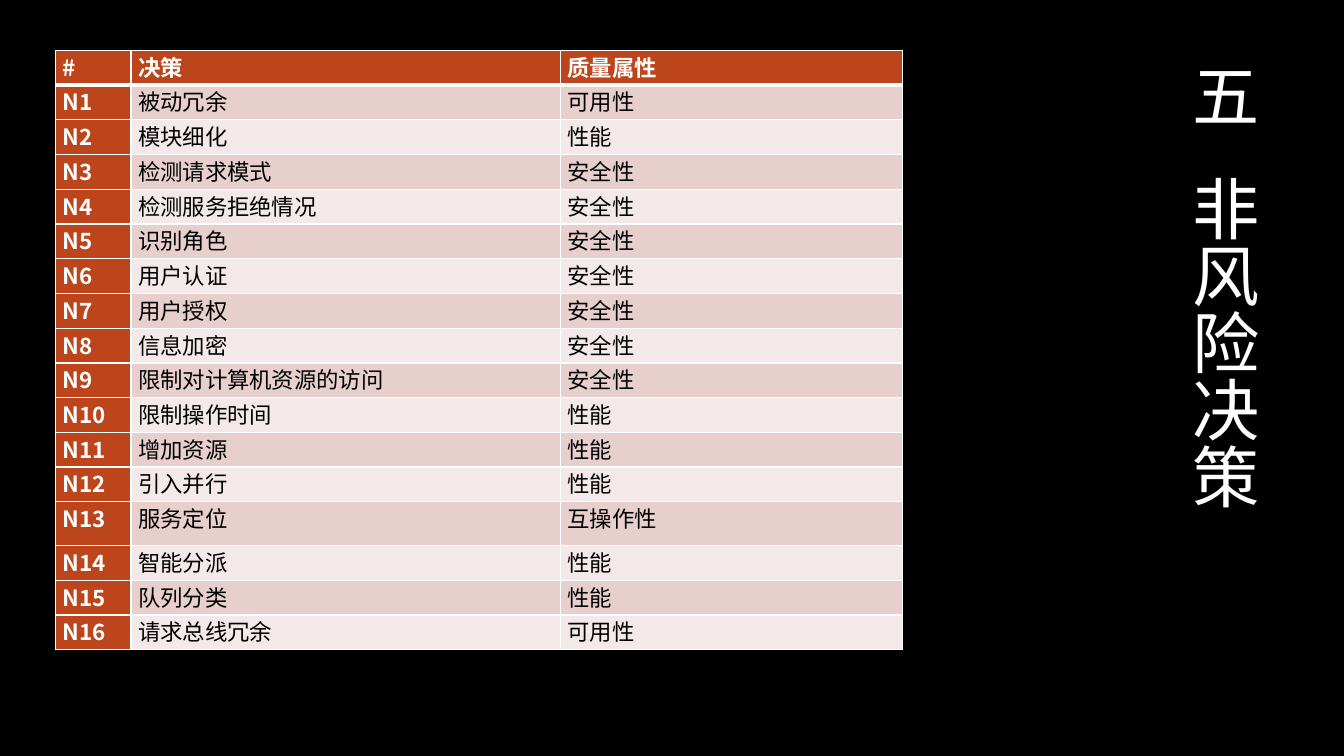
from dataclasses import dataclass

import lxml.etree
import pptx
import pptx.dml.color
import pptx.enum.text
import pptx.oxml.ns
import pptx.util

Cm = pptx.util.Cm
Pt = pptx.util.Pt
RGBColor = pptx.dml.color.RGBColor
qn = pptx.oxml.ns.qn

BLACK = RGBColor(0x00, 0x00, 0x00)
WHITE = RGBColor(0xFF, 0xFF, 0xFF)
RUST = RGBColor(0xBC, 0x45, 0x1B)
ROSE = RGBColor(0xE7, 0xCF, 0xCD)
BLUSH = RGBColor(0xF3, 0xE9, 0xE8)
FONT = "Noto Sans CJK SC"

COLUMN_WIDTHS = (Cm(1.9), Cm(10.82), Cm(8.62))
TABLE_HEIGHT = Cm(15.11)
TALL_ROW = 13
TALL_ROW_HEIGHT = Cm(1.1)


@dataclass(frozen=True)
class Decision:
    measure: str
    quality: str


DECISIONS = (
    Decision("被动冗余", "可用性"),
    Decision("模块细化", "性能"),
    Decision("检测请求模式", "安全性"),
    Decision("检测服务拒绝情况", "安全性"),
    Decision("识别角色", "安全性"),
    Decision("用户认证", "安全性"),
    Decision("用户授权", "安全性"),
    Decision("信息加密", "安全性"),
    Decision("限制对计算机资源的访问", "安全性"),
    Decision("限制操作时间", "性能"),
    Decision("增加资源", "性能"),
    Decision("引入并行", "性能"),
    Decision("服务定位", "互操作性"),
    Decision("智能分派", "性能"),
    Decision("队列分类", "性能"),
    Decision("请求总线冗余", "可用性"),
)


def apply_format(target: object, values: dict) -> None:
    for attribute, value in values.items():
        setattr(target, attribute, value)


def add_words(paragraph, words: str, size: int, color: RGBColor, bold: bool):
    run = paragraph.add_run()
    run.text = words
    apply_format(run.font, {"name": FONT, "size": Pt(size), "bold": bold})
    run.font.color.rgb = color
    properties = run.font._element
    lxml.etree.SubElement(properties, qn("a:ea")).set("typeface", FONT)
    return properties


def border_cell(cell, row: int) -> None:
    properties = cell._tc.get_or_add_tcPr()
    widths = {"lnL": 1, "lnR": 1, "lnT": 3 if row == 1 else 1, "lnB": 3 if row == 0 else 1}
    for position, (edge, width) in enumerate(widths.items()):
        line = lxml.etree.Element(qn(f"a:{edge}"), w=str(Pt(width)))
        fill = lxml.etree.SubElement(line, qn("a:solidFill"))
        lxml.etree.SubElement(fill, qn("a:srgbClr")).set("val", str(WHITE))
        properties.insert(position, line)


def fill_cell(cell, words: str, row: int, column: int) -> None:
    heading = row == 0 or column == 0
    apply_format(cell, {
        "margin_left": Cm(0.18), "margin_right": Cm(0.18),
        "margin_top": 0, "margin_bottom": 0,
    })
    cell.fill.solid()
    cell.fill.fore_color.rgb = RUST if heading else ROSE if row % 2 else BLUSH
    border_cell(cell, row)
    paragraph = cell.text_frame.paragraphs[0]
    paragraph.alignment = pptx.enum.text.PP_ALIGN.JUSTIFY
    add_words(paragraph, words, 16, WHITE if heading else BLACK, heading)


def add_title(slide) -> None:
    title = slide.shapes.title
    apply_format(title, {
        "left": Cm(29.54), "top": Cm(1.45), "width": Cm(2.57), "height": Cm(11.91),
    })
    frame = title.text_frame
    apply_format(frame, {
        "word_wrap": False,
        "auto_size": pptx.enum.text.MSO_AUTO_SIZE.SHAPE_TO_FIT_TEXT,
        "vertical_anchor": pptx.enum.text.MSO_ANCHOR.TOP,
    })
    frame._txBody.bodyPr.set("vert", "eaVert")
    paragraph = frame.paragraphs[0]
    paragraph.alignment = pptx.enum.text.PP_ALIGN.LEFT
    for words, spacing in (("五", 0), (" ", 2150), ("非风险决策", 0)):
        add_words(paragraph, words, 48, WHITE, False).set("spc", str(spacing))


def add_decision_table(slide) -> None:
    rows = [("#", "决策", "质量属性")]
    rows += [(f"N{n}", d.measure, d.quality) for n, d in enumerate(DECISIONS, 1)]
    decisions = slide.shapes.add_table(
        len(rows), len(COLUMN_WIDTHS), Cm(1.4), Cm(1.27), sum(COLUMN_WIDTHS), TABLE_HEIGHT
    ).table
    for column, width in zip(decisions.columns, COLUMN_WIDTHS):
        column.width = width
    row_height = (TABLE_HEIGHT - TALL_ROW_HEIGHT) // (len(rows) - 1)
    for row, entries in enumerate(rows):
        decisions.rows[row].height = TALL_ROW_HEIGHT if row == TALL_ROW else row_height
        for column, words in enumerate(entries):
            fill_cell(decisions.cell(row, column), words, row, column)


def main() -> None:
    deck = pptx.Presentation()
    apply_format(deck, {"slide_width": Cm(33.87), "slide_height": Cm(19.05)})
    slide = deck.slides.add_slide(deck.slide_layouts[5])
    slide.background.fill.solid()
    slide.background.fill.fore_color.rgb = BLACK
    add_title(slide)
    add_decision_table(slide)
    deck.save("out.pptx")


if __name__ == "__main__":
    main()
